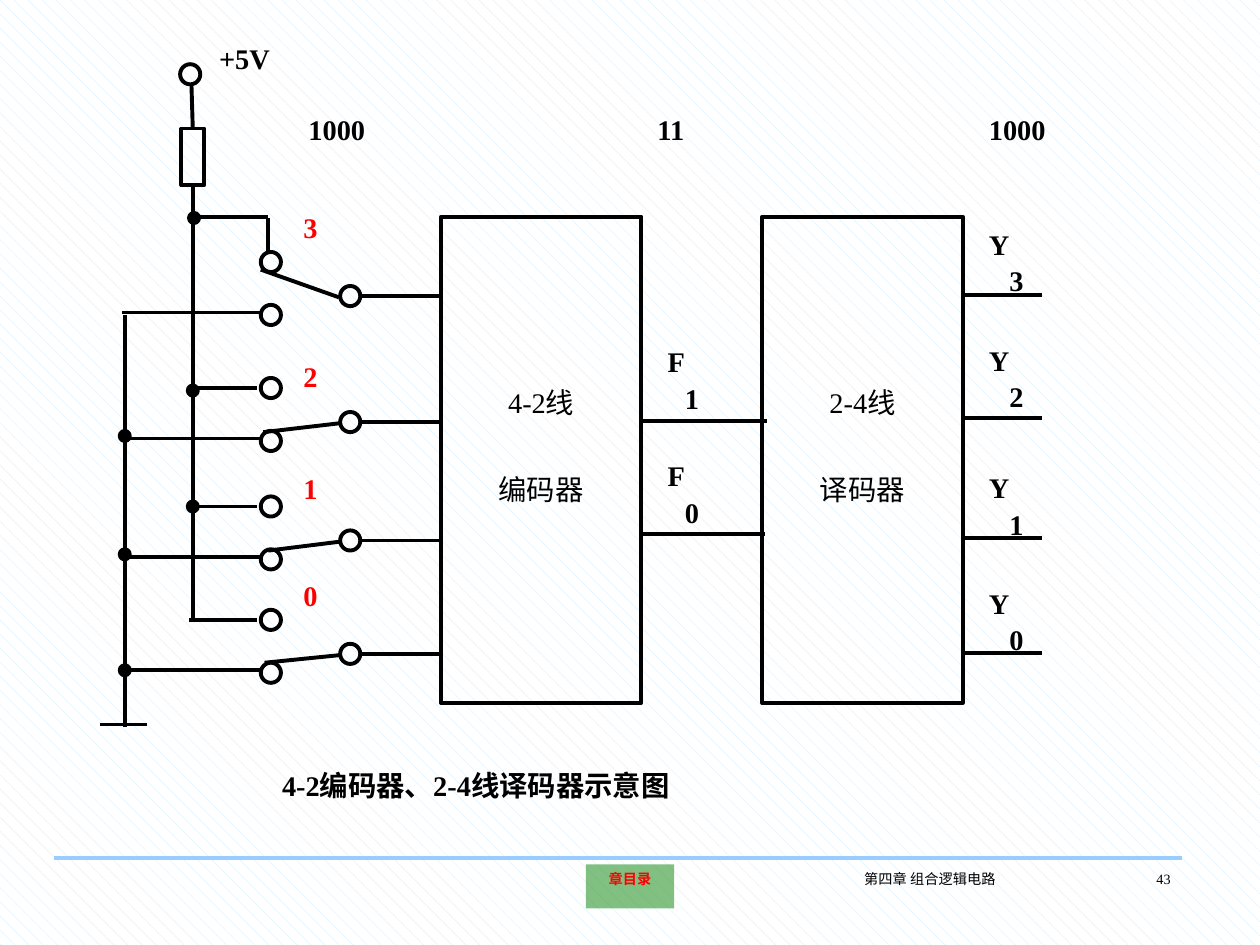
import pptx
import pptx.util
import pptx.dml.color
import pptx.enum.dml
import pptx.enum.shapes
import pptx.enum.text
import pptx.oxml

Inches = pptx.util.Inches
Pt = pptx.util.Pt
RGBColor = pptx.dml.color.RGBColor
MSO_SHAPE = pptx.enum.shapes.MSO_SHAPE
PP_ALIGN = pptx.enum.text.PP_ALIGN
MSO_ANCHOR = pptx.enum.text.MSO_ANCHOR

BLACK = RGBColor(0x00, 0x00, 0x00)
RED = RGBColor(0xFF, 0x00, 0x00)
GREEN = RGBColor(0x00, 0x80, 0x00)
SKY = RGBColor(0x99, 0xCC, 0xFF)
PALE = RGBColor(0xCC, 0xEC, 0xFF)
WHITE = RGBColor(0xFF, 0xFF, 0xFF)
NS = 'xmlns:a="http://schemas.openxmlformats.org/drawingml/2006/main"'
RAISED, LOWERED = "50000", "-25000"

prs = pptx.Presentation()
prs.slide_width, prs.slide_height = Inches(10), Inches(7.5)
s = prs.slides.add_slide(prs.slide_layouts[6])
bg = s.background.fill
bg.patterned()
bg.pattern = pptx.enum.dml.MSO_PATTERN.SHINGLE
bg.fore_color.rgb, bg.back_color.rgb = PALE, WHITE


def add_line(x1, y1, x2, y2, color=BLACK):
    c = s.shapes.add_connector(pptx.enum.shapes.MSO_CONNECTOR.STRAIGHT,
                               Inches(x1), Inches(y1), Inches(x2), Inches(y2))
    c.line.color.rgb, c.line.width = color, Pt(2.25)
    c._element.spPr.append(pptx.oxml.parse_xml(f"<a:effectLst {NS}/>"))
    return c


def write(p, text, size=28, bold=True, color=BLACK, sub="", align=PP_ALIGN.LEFT):
    p.alignment = align
    for part, baseline in ((text, RAISED), (sub, LOWERED)):
        if part:
            r = p.add_run()
            r.text = part
            for name, value in {"name": "Times New Roman", "size": Pt(size), "bold": bold}.items():
                setattr(r.font, name, value)
            r.font.color.rgb = color
            r.font._element.set("baseline", baseline)


button = s.shapes.add_shape(MSO_SHAPE.ACTION_BUTTON_CUSTOM,
                            Inches(4.65), Inches(6.86), Inches(0.7), Inches(0.35))
button.shadow.inherit = False
button.fill.solid()
button.fill.fore_color.rgb = GREEN
button._element.spPr.find(".//{*}srgbClr").append(
    pptx.oxml.parse_xml(f'<a:alpha {NS} val="49000"/>'))
button.line.fill.background()
tf = button.text_frame
tf.word_wrap = False
tf.vertical_anchor = MSO_ANCHOR.MIDDLE
for side in ("left", "top", "right", "bottom"):
    setattr(tf, f"margin_{side}", Inches(0.04))
write(tf.paragraphs[0], "章目录", 14, True, RED, align=PP_ALIGN.CENTER)
add_line(0.43, 6.81, 9.38, 6.81, SKY)

boxes = []
for x, y, w, h in [(1.44, 1.02, 0.18, 0.45), (3.5, 1.72, 1.59, 3.86), (6.05, 1.72, 1.59, 3.86)]:
    sp = s.shapes.add_shape(MSO_SHAPE.RECTANGLE, Inches(x), Inches(y), Inches(w), Inches(h))
    boxes.append(sp)
resistor, encoder, decoder = boxes

circles = [(1.43, 0.51)]
dots = [(1.5, 1.69), (1.49, 3.06), (1.49, 3.98), (0.95, 3.42), (0.95, 4.36), (0.95, 5.28)]
switches = [
    ("3", 2.0, 1.62, (2.07, 2.14)),
    ("2", 3.0, 2.8, (2.09, 3.43)),
    ("1", 3.94, 3.69, (2.13, 4.37)),
    ("0", 4.84, 4.54, (2.1, 5.26)),
]
labels = [
    ("+5V", "", 1.64, 0.28, 0.98, BLACK),
    ("1000", "", 2.35, 0.84, 1.17, BLACK),
    ("11", "", 5.12, 0.84, 1.17, BLACK),
    ("1000", "", 7.75, 0.84, 1.17, BLACK),
    ("F", "1", 5.2, 2.68, 0.78, BLACK),
    ("F", "0", 5.2, 3.59, 0.78, BLACK),
    ("4-2编码器、2-4线译码器示意图", "", 2.14, 6.05, 6.63, BLACK),
]
for (digit, y, label_y, blade), out_y, label_out in zip(
        switches, (2.34, 3.32, 4.27, 5.18), (1.75, 2.67, 3.68, 4.6)):
    circles += [(2.07, y), (2.07, y + 0.42), (2.7, y + 0.27)]
    add_line(*blade, 2.69, y + 0.36)
    add_line(2.87, y + 0.35, 3.51, y + 0.35)
    add_line(2.07, y + 0.48, 0.97, y + 0.48)
    add_line(7.63, out_y, 8.27, out_y)
    if digit != "3":
        add_line(2.04, y + 0.08, 1.5, y + 0.08)
    labels += [(digit, "", 2.31, label_y, 0.4, RED), ("Y", digit, 7.75, label_out, 0.78, BLACK)]

add_line(1.52, 0.68, 1.53, 1.02).end_connect(resistor, 0)
add_line(1.53, 4.91, 1.53, 1.47).end_connect(resistor, 2)
for ends in [(2.13, 1.73, 2.13, 1.99), (2.13, 1.72, 1.53, 1.72), (0.99, 2.5, 0.99, 5.77),
             (0.79, 5.75, 1.17, 5.75), (5.09, 3.34, 6.09, 3.34), (5.07, 4.24, 6.07, 4.24)]:
    add_line(*ends)

rounds = []
for points, d in ((circles, 0.16), (dots, 0.08)):
    for x, y in points:
        sp = s.shapes.add_shape(MSO_SHAPE.OVAL, Inches(x), Inches(y), Inches(d), Inches(d))
        rounds.append(sp)
for sp in boxes + rounds:
    sp.shadow.inherit = False
    sp.fill.background()
    sp.line.color.rgb, sp.line.width = BLACK, Pt(2.25)
for sp in rounds[len(circles):]:
    sp.fill.solid()
    sp.fill.fore_color.rgb = BLACK

for sp, rows in ((encoder, ("4-2线", "编码器")), (decoder, ("2-4线", "译码器"))):
    tf = sp.text_frame
    tf.word_wrap = False
    tf.vertical_anchor = MSO_ANCHOR.MIDDLE
    for side in ("left", "top", "right", "bottom"):
        setattr(tf, f"margin_{side}", 0)
    write(tf.paragraphs[0], rows[0], bold=False, align=PP_ALIGN.CENTER)
    p = tf.add_paragraph()
    p.space_before = Pt(14)
    write(p, rows[1], bold=False, align=PP_ALIGN.CENTER)

for text, sub, x, y, w, color in labels:
    tf = s.shapes.add_textbox(Inches(x), Inches(y), Inches(w), Inches(0.57)).text_frame
    tf.word_wrap = True
    write(tf.paragraphs[0], text, color=color, sub=sub)

for text, x, y, w, align in [("第四章 组合逻辑电路", 6.24, 6.86, 2.28, PP_ALIGN.CENTER),
                             ("43", 8.53, 6.86, 0.86, PP_ALIGN.RIGHT)]:
    tf = s.shapes.add_textbox(Inches(x), Inches(y), Inches(w), Inches(0.5)).text_frame
    tf.word_wrap = True
    write(tf.paragraphs[0], text, 14, False, align=align)

prs.save("out.pptx")
